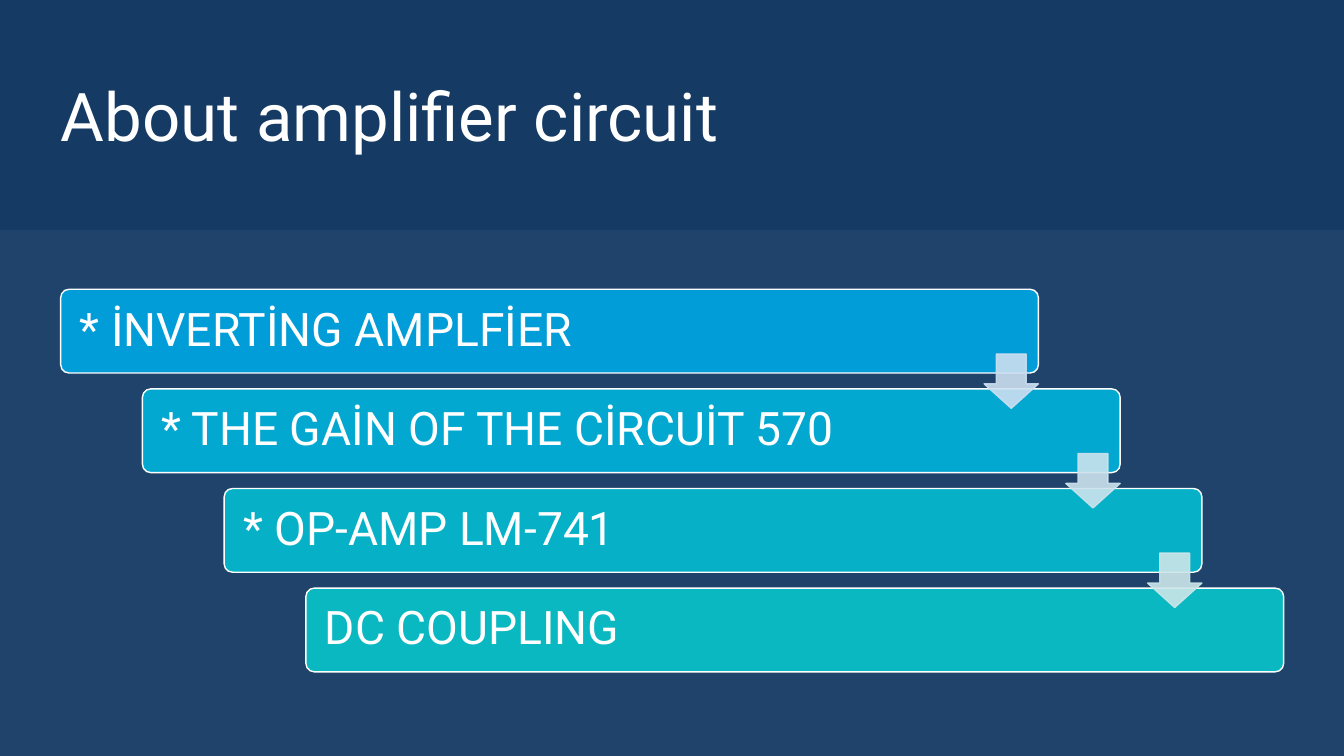
from lxml import etree
from pptx import Presentation
from pptx import util as u
from pptx.dml import color
from pptx.enum import shapes, text
from pptx.oxml import ns

COLORS = {"navy": "153A63", "mist": "DFEBF8", "white": "FFFFFF"}
STEPS = [
    ("* İNVERTİNG AMPLFİER", "009DD9", "CCDFF1"),
    ("* THE GAİN OF THE CİRCUİT 570", "03A8D1", "CCE3ED"),
    ("* OP-AMP LM-741", "06B1C8", "CCE6E9"),
    ("DC COUPLING", "09B8C0", None),
]
LEFT, TOP = 1.53, 7.29
STEP_X, STEP_Y = 2.06, 2.51
BAR_W, BAR_H = 24.64, 2.11
ARROW = 1.37


class CascadeSlide:
    """Hold the style and current slide, and draw its elements in centimetres."""

    def __init__(self, slide, font="Roboto"):
        self.slide = slide
        self.font = font

    def background(self, tone):
        fill = self.slide.background.fill
        fill.solid()
        fill.fore_color.rgb = color.RGBColor.from_string(tone)

    def paint(self, fill, tone, opacity):
        fill.solid()
        fill.fore_color.rgb = color.RGBColor.from_string(tone)

    def block(self, kind, box, tone, edge=None, opacity=100, adjust=()):
        block = self.slide.shapes.add_shape(kind, *map(u.Cm, box))
        block.shadow.inherit = False
        for index, value in enumerate(adjust):
            block.adjustments[index] = value
        self.paint(block.fill, tone, opacity)
        if edge:
            block.line.width = u.Pt(1)
            self.paint(block.line.fill, edge, opacity)
        else:
            block.line.fill.background()
        if opacity < 100:
            for tint in block.element.spPr.iter(ns.qn("a:srgbClr")):
                etree.SubElement(tint, ns.qn("a:alpha"), val=str(opacity * 1000))
        return block

    def lettering(self, frame, words, size, inset=0, spacing=1.0):
        frame_format = {
            "word_wrap": True,
            "vertical_anchor": text.MSO_ANCHOR.MIDDLE,
            "margin_left": u.Cm(inset),
            "margin_right": u.Cm(inset),
            "margin_top": 0,
            "margin_bottom": 0,
        }
        for key, value in frame_format.items():
            setattr(frame, key, value)
        line = frame.paragraphs[0]
        line.alignment = text.PP_ALIGN.LEFT
        line.line_spacing = spacing
        run = line.add_run()
        run.text = words
        for key, value in {"name": self.font, "size": u.Pt(size)}.items():
            setattr(run.font, key, value)
        run.font.color.rgb = color.RGBColor.from_string(COLORS["white"])

    def title(self, words, box):
        heading = self.slide.shapes.add_textbox(*map(u.Cm, box))
        self.lettering(heading.text_frame, words, 48)

    def bar(self, words, left, top, tone):
        bar = self.block(shapes.MSO_SHAPE.ROUNDED_RECTANGLE, (left, top, BAR_W, BAR_H),
                         tone, COLORS["white"], adjust=(0.1,))
        self.lettering(bar.text_frame, words, 33, inset=0.42, spacing=0.9)

    def arrow(self, left, top, tone):
        self.block(shapes.MSO_SHAPE.DOWN_ARROW, (left, top, ARROW, ARROW),
                   tone, tone, opacity=90, adjust=(0.55, 0.45))


def main():
    deck = Presentation()
    deck.slide_width, deck.slide_height = u.Cm(33.87), u.Cm(19.05)
    page = CascadeSlide(deck.slides.add_slide(deck.slide_layouts[6]))
    page.background(COLORS["navy"])
    page.title("About amplifier circuit", (1.53, 1.53, 20.3, 2.74))
    page.block(shapes.MSO_SHAPE.RECTANGLE, (0, 5.8, 33.87, 13.25), COLORS["mist"], opacity=5)

    places = [(LEFT + i * STEP_X, TOP + i * STEP_Y) for i in range(len(STEPS))]
    for (left, top), (words, tone, _) in zip(places, STEPS):
        page.bar(words, left, top, tone)
    for (left, top), (_, _, arrow_tone) in zip(places, STEPS):
        if arrow_tone:
            page.arrow(left + BAR_W - ARROW, top + 1.63, arrow_tone)
    deck.save("out.pptx")


if __name__ == "__main__":
    main()
